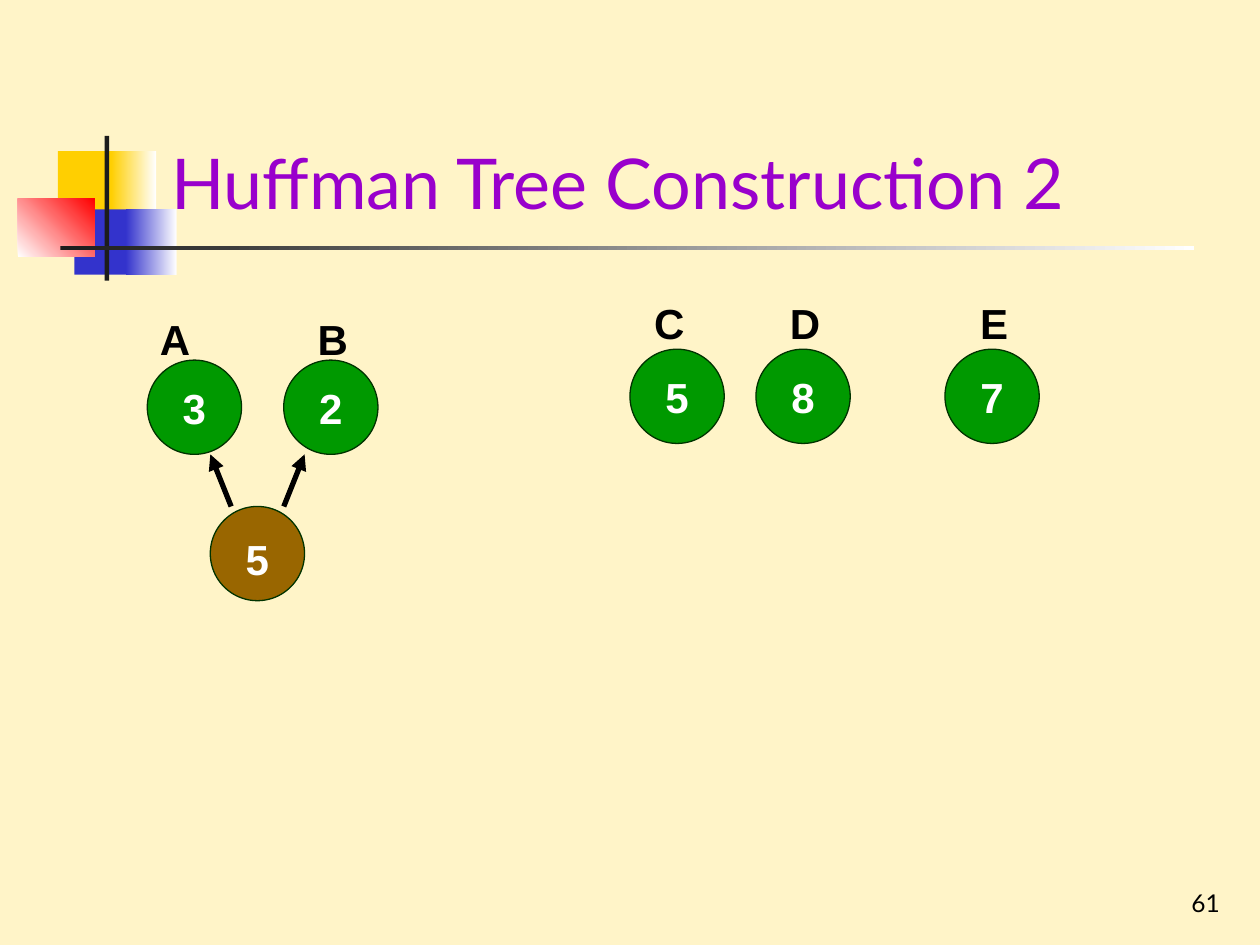
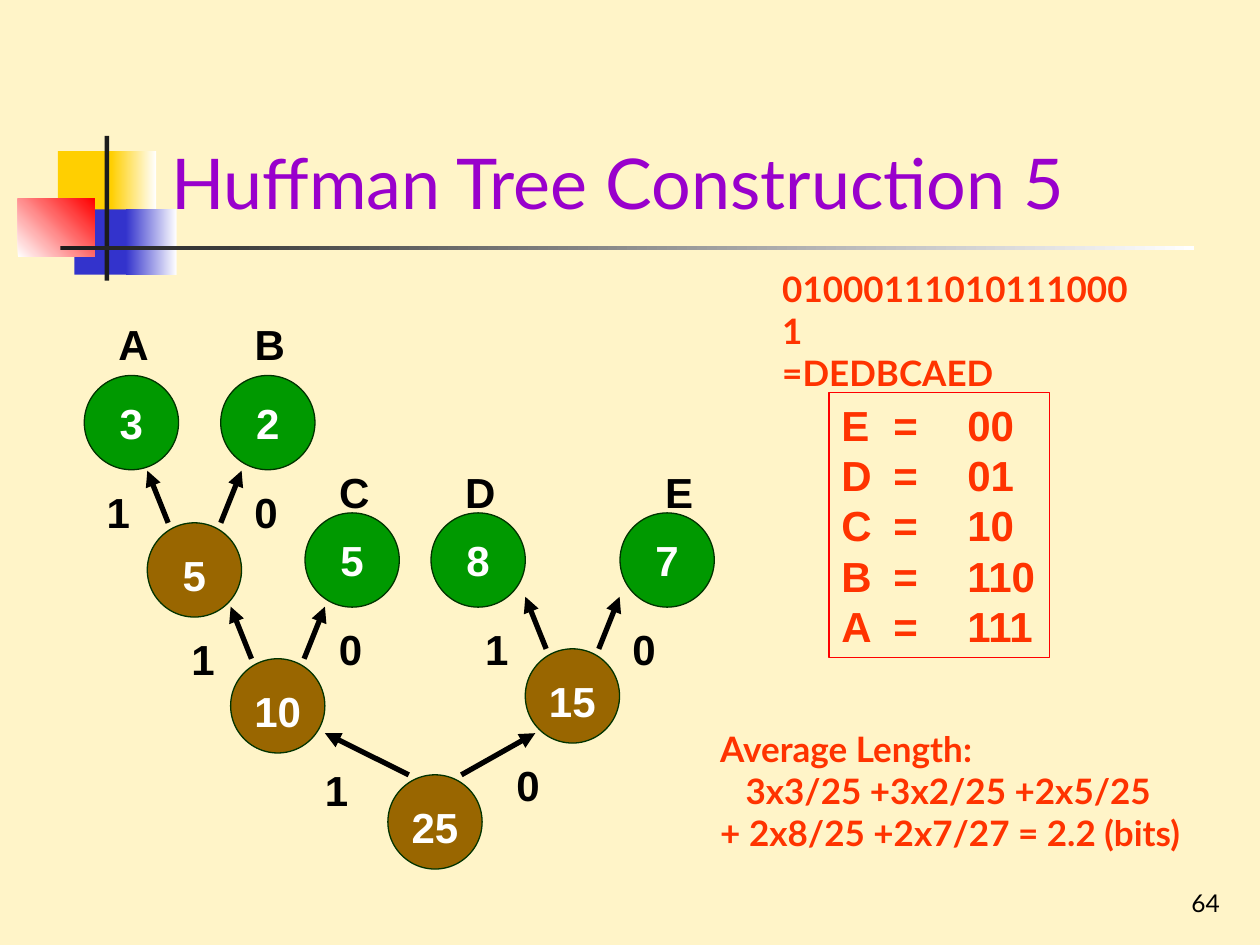
from dataclasses import dataclass

from lxml.etree import SubElement
from pptx import Presentation
from pptx.dml.color import RGBColor
from pptx.enum.shapes import MSO_CONNECTOR as Connector, MSO_SHAPE as Preset
from pptx.enum.text import MSO_ANCHOR as Anchor, PP_ALIGN as Align
from pptx.oxml.ns import qn
from pptx.util import Cm, Pt


@dataclass(frozen=True)
class Theme:
    background: str = "FFF4C8"
    title: str = "9900CC"
    ink: str = "000000"
    white: str = "FFFFFF"
    leaf: str = "009900"
    branch: str = "996600"
    outline: str = "003300"
    accent: str = "FF3300"
    frame: str = "FF0000"
    yellow: str = "FFCF01"
    blue: str = "3333CC"
    red: str = "FF0000"
    bar: str = "1C1C1C"
    heading_font: str = "Lato"
    tree_font: str = "Arial"
    title_size: int = 40
    tree_size: int = 24
    note_size: int = 20
    number_size: int = 14


theme = Theme()
NODE = 1.9  # node diameter in cm
FORK_INSET = 0.42  # where an arrow leaves its parent, from either side
LABEL_WIDTH, LABEL_HEIGHT = 1.12, 1.27

# left, top, width, height, colours, gradient angle
BANDS = [
    (1.17, 3.05, 1.22, 1.32, [theme.yellow], 0),
    (2.24, 3.05, 0.91, 1.32, [theme.yellow, theme.white], 0),
    (1.5, 4.22, 1.17, 1.32, [theme.blue], 0),
    (2.54, 4.22, 1.02, 1.32, [theme.blue, theme.white], 0),
    (0.36, 4.01, 1.55, 1.17, [theme.white, theme.red], 45),
    (2.11, 2.74, 0.09, 2.92, [theme.bar], 0),
    (1.22, 4.95, 22.86, 0.09, [theme.bar, theme.white], 0),
]

# leaves: letter, weight, node left and top, letter left and top
# branches: weight, left, top, reach to the left, reach to the right, rise
# bits: digit, left, top
SLIDES = [
    {
        "title": "Huffman Tree Construction 2",
        "number": "61",
        "leaves": [
            ("A", "3", 2.97, 7.26, 2.97, 6.2),
            ("B", "2", 5.72, 7.26, 6.15, 6.2),
            ("C", "5", 12.7, 7.04, 12.93, 5.87),
            ("D", "8", 15.24, 7.04, 15.67, 5.87),
            ("E", "7", 19.05, 7.04, 19.48, 5.87),
        ],
        "branches": [("5", 4.24, 10.21, 0, 0, 1.05)],
        "bits": [],
    },
    {
        "title": "Huffman Tree Construction 5",
        "number": "64",
        "leaves": [
            ("A", "3", 1.7, 7.57, 2.13, 6.3),
            ("B", "2", 4.45, 7.57, 4.88, 6.3),
            ("C", "5", 6.15, 10.34, 6.58, 9.27),
            ("D", "8", 8.69, 10.34, 9.12, 9.27),
            ("E", "7", 12.5, 10.34, 13.13, 9.27),
        ],
        "branches": [
            ("5", 2.97, 10.54, 0, 0, 1.05),
            ("10", 4.65, 13.28, 0, 0, 1.05),
            ("15", 10.59, 13.08, 0, 0, 1.05),
            ("25", 7.82, 15.62, 1.27, 1.07, 0.84),
        ],
        "bits": [
            ("1", 1.9, 9.68), ("0", 4.88, 9.68),
            ("1", 3.61, 12.65), ("0", 6.58, 12.45),
            ("1", 9.53, 12.45), ("0", 12.5, 12.45),
            ("1", 6.3, 15.29), ("0", 10.16, 15.19),
        ],
    },
]
CODES = {"E": "00", "D": "01", "C": "10", "B": "110", "A": "111"}


def write(shape, text, font=theme.tree_font, size=theme.tree_size, color=theme.ink,
          bold=True, align=Align.LEFT, anchor=Anchor.TOP, wrap=False):
    """Fill the shape with one paragraph for each line of text."""
    frame = shape.text_frame
    frame.word_wrap = wrap
    frame.vertical_anchor = anchor
    frame.text = text
    for paragraph in frame.paragraphs:
        paragraph.alignment = align
        paragraph.font.name = font
        paragraph.font.size = Pt(size)
        paragraph.font.bold = bold
        paragraph.font.color.rgb = RGBColor.from_string(color)
    return frame


def draw(slide, preset, box, colors=(), line=None, angle=0):
    """Add a shape with no fill, one colour or a gradient of two colours."""
    shape = slide.shapes.add_shape(preset, *map(Cm, box))
    shape.shadow.inherit = False
    if len(colors) == 2:
        shape.fill.gradient()
        shape.fill.gradient_angle = angle
        for stop, color in zip(shape.fill.gradient_stops, colors):
            stop.color.rgb = RGBColor.from_string(color)
    elif colors:
        shape.fill.solid()
        shape.fill.fore_color.rgb = RGBColor.from_string(colors[0])
    else:
        shape.fill.background()
    if line:
        shape.line.color.rgb = RGBColor.from_string(line)
        shape.line.width = Pt(0.75)
    else:
        shape.line.fill.background()
    return shape


presentation = Presentation()
presentation.slide_width, presentation.slide_height = Cm(25.4), Cm(19.05)
master_fill = presentation.slide_master.background.fill
master_fill.solid()
master_fill.fore_color.rgb = RGBColor.from_string(theme.background)

for content in SLIDES:
    slide = presentation.slides.add_slide(presentation.slide_layouts[6])
    for *box, colors, angle in BANDS:
        draw(slide, Preset.RECTANGLE, box, colors, angle=angle)

    number = slide.shapes.add_textbox(Cm(19.56), Cm(17.35), Cm(5.28), Cm(1.27))
    write(number, content["number"], font=theme.heading_font, size=theme.number_size,
          bold=False, align=Align.RIGHT, anchor=Anchor.BOTTOM, wrap=True)
    title = slide.shapes.add_textbox(Cm(3.2), Cm(0.58), Cm(21.64), Cm(4.06))
    write(title, content["title"], font=theme.heading_font, size=theme.title_size,
          color=theme.title, bold=False, anchor=Anchor.BOTTOM, wrap=True)

    labels = list(content["bits"])
    for letter, weight, left, top, letter_left, letter_top in content["leaves"]:
        node = draw(slide, Preset.OVAL, (left, top, NODE, NODE), [theme.leaf], theme.outline)
        write(node, weight, color=theme.white, align=Align.CENTER, anchor=Anchor.MIDDLE)
        labels.append((letter, letter_left, letter_top))

    for weight, left, top, reach_left, reach_right, rise in content["branches"]:
        node = draw(slide, Preset.OVAL, (left, top, NODE, NODE), [theme.branch], theme.outline)
        frame = write(node, weight, color=theme.white, align=Align.CENTER, anchor=Anchor.MIDDLE)
        frame.margin_top = Cm(0.33)
        arrows = [
            (left + FORK_INSET, left - reach_left),
            (left + NODE - FORK_INSET, left + NODE + reach_right),
        ]
        for start, end in arrows:
            arrow = slide.shapes.add_connector(
                Connector.STRAIGHT, Cm(start), Cm(top), Cm(end), Cm(top - rise))
            arrow.line.color.rgb = RGBColor.from_string(theme.ink)
            arrow.line.width = Pt(3)
            properties = arrow._element.spPr
            SubElement(properties.find(qn("a:ln")), qn("a:tailEnd"), type="triangle")
            SubElement(properties, qn("a:effectLst"))

    for text, left, top in labels:
        width = 0.97 if text.isdigit() else LABEL_WIDTH
        label = slide.shapes.add_textbox(Cm(left), Cm(top), Cm(width), Cm(LABEL_HEIGHT))
        write(label, text, align=Align.CENTER)

# The last slide also shows the codes, a decoded message and the average length.
code_box = draw(slide, Preset.RECTANGLE, (16.71, 7.92, 4.45, 5.33), line=theme.frame)
code_lines = "\n".join(f"{letter}\t=\t{code}" for letter, code in CODES.items())
for paragraph in write(code_box, code_lines, color=theme.accent, wrap=True).paragraphs:
    paragraph.line_spacing = Pt(28.8)
    tab_list = SubElement(paragraph._element.get_or_add_pPr(), qn("a:tabLst"))
    paragraph._element.pPr.find(qn("a:defRPr")).addprevious(tab_list)
    for position in (1.05, 2.54):
        SubElement(tab_list, qn("a:tab"), pos=str(Cm(position)), algn="l")

note_style = dict(font=theme.heading_font, size=theme.note_size, color=theme.accent, wrap=True)
message = slide.shapes.add_textbox(Cm(15.52), Cm(5.26), Cm(7.77), Cm(1.96))
write(message, "010001110101110001\n=DEDBCAED", **note_style)
average = slide.shapes.add_textbox(Cm(14.27), Cm(14.53), Cm(10.2), Cm(2.79))
average_frame = write(
    average,
    "Average Length:\n3x3/25 +3x2/25 +2x5/25\n+ 2x8/25 +2x7/27 = 2.2 (bits)",
    **note_style)
average_frame.paragraphs[1]._element.get_or_add_pPr().set("marL", str(Cm(0.51)))

presentation.save("out.pptx")
